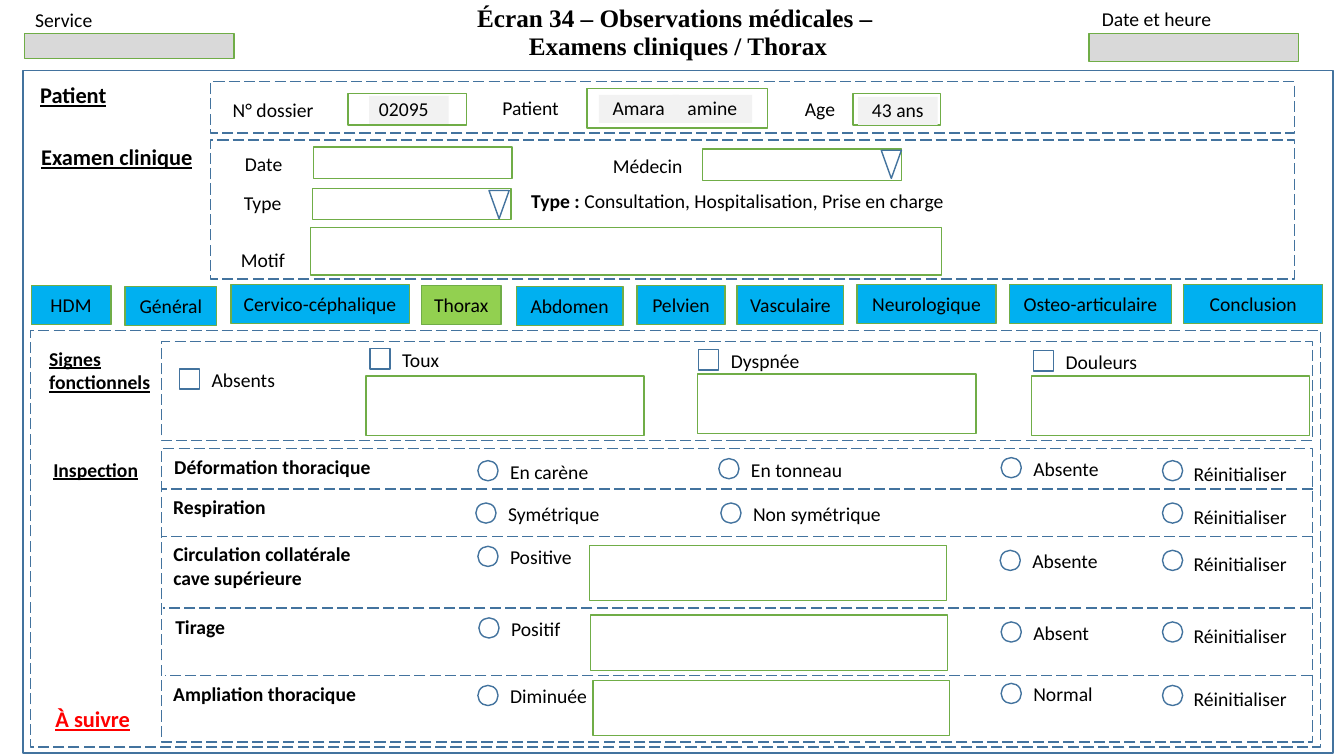
from pptx import Presentation
from pptx.dml.color import RGBColor
from pptx.enum.dml import MSO_LINE as Dash
from pptx.enum.shapes import MSO_CONNECTOR as Link, MSO_SHAPE as Form
from pptx.enum.text import MSO_ANCHOR as Anchor, PP_ALIGN as Align
from pptx.oxml.ns import qn
from pptx.util import Inches, Pt
from lxml.etree import SubElement

BLACK = RGBColor(0, 0, 0)
RED = RGBColor(0xFF, 0, 0)
BLUE = RGBColor(0x43, 0x73, 0x9E)
GREEN = RGBColor(0x70, 0xAD, 0x47)
GREY = RGBColor(0xD9, 0xD9, 0xD9)
PALE = RGBColor(0xF2, 0xF2, 0xF2)
SKY = RGBColor(0, 0xB0, 0xF0)
LIME = RGBColor(0x92, 0xD0, 0x50)

BASE = {"name": "Calibri", "size": Pt(14), "bold": False}
BOLD = {"bold": True}
HEAD = {"bold": True, "underline": True}
BIG = {**HEAD, "size": Pt(16)}
TITLE = {"name": "Times New Roman", "size": Pt(18), "bold": True}
MID = {"anchor": Anchor.MIDDLE, "space": 0.95}
CENTER = {**MID, "align": Align.CENTER}

FIELDS = [
    (3.45, 0.93, 1.18, 0.31), (5.82, 0.88, 1.79, 0.39), (8.46, 0.93, 0.87, 0.31),
    (3.11, 1.46, 1.97, 0.31), (3.1, 1.87, 1.97, 0.31), (6.97, 1.48, 1.97, 0.31),
    (3.08, 2.26, 6.26, 0.47),
    (3.63, 3.73, 2.76, 0.59), (6.92, 3.71, 2.76, 0.59), (10.23, 3.73, 2.76, 0.59),
    (5.85, 5.41, 3.54, 0.55), (5.86, 6.1, 3.54, 0.55), (5.88, 6.75, 3.54, 0.55),
]
FRAMES = [
    (2.09, 0.81, 10.75, 0.51), (2.09, 1.39, 10.75, 1.38), (0.3, 3.28, 12.8, 4.13),
    (1.6, 3.39, 11.42, 0.98), (1.6, 4.45, 11.42, 2.91),
]
VALUES = [
    ("02095", 3.66, 0.95, Align.LEFT), ("Amara", 5.94, 0.94, Align.CENTER),
    ("amine", 6.67, 0.94, Align.CENTER), ("43 ans", 8.51, 0.96, Align.CENTER),
]
TABS = [
    ("HDM", 0.31, 2.83, 0.79), ("Général", 1.24, 2.84, 0.91),
    ("Cervico-céphalique", 2.29, 2.82, 1.77), ("Thorax", 4.18, 2.83, 0.79),
    ("Abdomen", 5.12, 2.84, 1.06), ("Pelvien", 6.32, 2.83, 0.87),
    ("Vasculaire", 7.31, 2.83, 1.06), ("Neurologique", 8.5, 2.82, 1.38),
    ("Osteo-articulaire", 10.01, 2.82, 1.61), ("Conclusion", 11.74, 2.82, 1.38),
]
LABELS = [
    ("N° dossier", (2.15, 0.88, 1.12, 0.43), CENTER),
    ("Patient ", (4.76, 0.86, 1.05, 0.43), CENTER),
    ("Age ", (7.85, 0.88, 0.61, 0.42), CENTER),
    ("Date", (2.33, 1.42, 0.79, 0.42), MID),
    ("Médecin", (5.86, 1.45, 1.13, 0.4), CENTER),
    ("Type", (2.32, 1.83, 0.79, 0.39), MID),
    ("Motif", (2.29, 2.39, 0.79, 0.35), {"space": 1.07}),
    ("Service", (0.25, 0.03, 1.4, 0.34), {}),
    ("Date et heure", (10.83, 0.02, 1.3, 0.34), {"wrap": False}),
]
HEADS = [
    ("Patient", (0.3, 0.71, 1.18, 0.48), BIG, MID),
    ("Examen clinique", (0.31, 1.37, 1.72, 0.37), BIG, {"wrap": False}),
    ("Signes fonctionnels", (0.39, 3.39, 1.26, 0.57), HEAD, {}),
    ("Inspection", (0.43, 4.49, 1.09, 0.34), HEAD, {"wrap": False}),
    ("Déformation thoracique", (1.63, 4.46, 2.17, 0.34), BOLD, {}),
    ("Respiration", (1.62, 4.86, 1.13, 0.34), BOLD, {}),
    ("Circulation collatérale cave supérieure", (1.62, 5.33, 2.02, 0.59), BOLD, {}),
    ("Tirage", (1.64, 6.05, 0.7, 0.34), BOLD, {}),
    ("Ampliation thoracique", (1.62, 6.72, 2.03, 0.34), BOLD, {}),
]
CHECKS = [
    ("Absents", 1.78, 3.66), ("Toux", 3.67, 3.46),
    ("Dyspnée", 6.93, 3.47), ("Douleurs", 10.25, 3.48),
]
RADIOS = [
    ("En carène", 4.74, 4.57), ("En tonneau", 7.13, 4.55), ("Absente", 9.93, 4.54),
    ("Symétrique", 4.72, 4.99), ("Non symétrique", 7.15, 4.99),
    ("Positive", 4.74, 5.42), ("Absente", 9.92, 5.46),
    ("Positif", 4.75, 6.13), ("Absent", 9.93, 6.17),
    ("Diminuée", 4.74, 6.8), ("Normal", 9.93, 6.78),
]
RESETS = [4.57, 4.99, 5.46, 6.17, 6.8]
RULES = [(1.6, 13.02, 4.85), (1.6, 13.02, 5.32), (1.62, 13, 6.03), (1.64, 13.01, 6.7)]


def write(frame, lines, font=None, align=Align.LEFT, anchor=Anchor.TOP,
          space=1.0, wrap=True, color=BLACK):
    frame.word_wrap = wrap
    frame.vertical_anchor = anchor
    for i, runs in enumerate(lines):
        para = frame.add_paragraph() if i else frame.paragraphs[0]
        para.alignment = align
        para.line_spacing = space
        for text, extra in runs:
            run = para.add_run()
            run.text = text
            run.font.color.rgb = color
            for key, val in {**BASE, **(font or {}), **extra}.items():
                setattr(run.font, key, val)


def label(slide, text, box, font=None, **style):
    lines = [[(text, {})]] if isinstance(text, str) else text
    frame = slide.shapes.add_textbox(*map(Inches, box)).text_frame
    write(frame, lines, font, **style)


def shape(slide, box, line=GREEN, fill=None, form=Form.RECTANGLE, dash=None):
    item = slide.shapes.add_shape(form, *map(Inches, box))
    item.shadow.inherit = False
    if fill is None:
        item.fill.background()
    else:
        item.fill.solid()
        item.fill.fore_color.rgb = fill
    if line is None:
        item.line.fill.background()
    else:
        stroke(item.line, dash, line)
    return item


def stroke(line, dash=None, color=BLUE):
    line.color.rgb = color
    for key, val in {"width": Pt(1), "dash_style": dash}.items():
        setattr(line, key, val)


def rule(slide, left, right, y):
    ends = map(Inches, (right, y, left, y))
    link = slide.shapes.add_connector(Link.STRAIGHT, *ends)
    stroke(link.line, Dash.LONG_DASH)
    SubElement(link._element.spPr, qn("a:effectLst"))


def arrow(slide, x, y):
    shape(slide, (x, y, 0.2, 0.28), BLUE, form=Form.ISOSCELES_TRIANGLE).rotation = 180


def option(slide, text, x, y, form=Form.OVAL, gap=0.22, rise=0.06, **style):
    shape(slide, (x, y, 0.2, 0.2), BLUE, form=form)
    label(slide, text, (x + gap, y - rise, 1.49, 0.34), **style)


def main():
    deck = Presentation()
    deck.slide_width, deck.slide_height = Inches(13.33), Inches(7.5)
    slide = deck.slides.add_slide(deck.slide_layouts[6])

    title = [[("Écran 34 – Observations médicales – ", {})],
             [("Examens cliniques / Thorax", {})]]
    label(slide, title, (3.45, 0.07, 6.55, 0.59), TITLE,
          align=Align.CENTER, anchor=Anchor.BOTTOM, space=0.95)
    shape(slide, (0.23, 0.7, 12.99, 6.77), BLUE)
    shape(slide, (0.24, 0.33, 2.08, 0.25), fill=GREY)
    shape(slide, (10.8, 0.33, 2.08, 0.28), fill=GREY)
    for box in FRAMES:
        shape(slide, box, BLUE, dash=Dash.LONG_DASH)
    for ends in RULES:
        rule(slide, *ends)
    for box in FIELDS:
        shape(slide, box)
    for x, y in ((4.85, 1.89), (8.74, 1.49)):
        arrow(slide, x, y)
    for text, x, y, align in VALUES:
        item = shape(slide, (x, y, 0.79, 0.28), None, PALE)
        write(item.text_frame, [[(text, {})]], **{**MID, "align": align})
    for text, x, y, width in TABS:
        item = shape(slide, (x, y, width, 0.39), fill=LIME if text == "Thorax" else SKY)
        write(item.text_frame, [[(text, {})]], **{**CENTER, "space": 1.0})

    for text, box, style in LABELS:
        label(slide, text, box, **style)
    for text, box, font, style in HEADS:
        label(slide, text, box, font, **style)
    kinds = [[("Type : ", BOLD), ("Consultation, Hospitalisation, Prise en charge", {})]]
    label(slide, kinds, (5.17, 1.78, 4.4, 0.45), **MID)
    label(slide, "À suivre", (0.33, 6.96, 1.18, 0.36), BIG, color=RED, **CENTER)

    for check in CHECKS:
        option(slide, *check, form=Form.RECTANGLE)
    for radio in RADIOS:
        option(slide, *radio)
    for y in RESETS:
        option(slide, "Réinitialiser", 11.53, y, gap=0.21, rise=0.05, space=1.07)
    deck.save("out.pptx")


if __name__ == "__main__":
    main()
